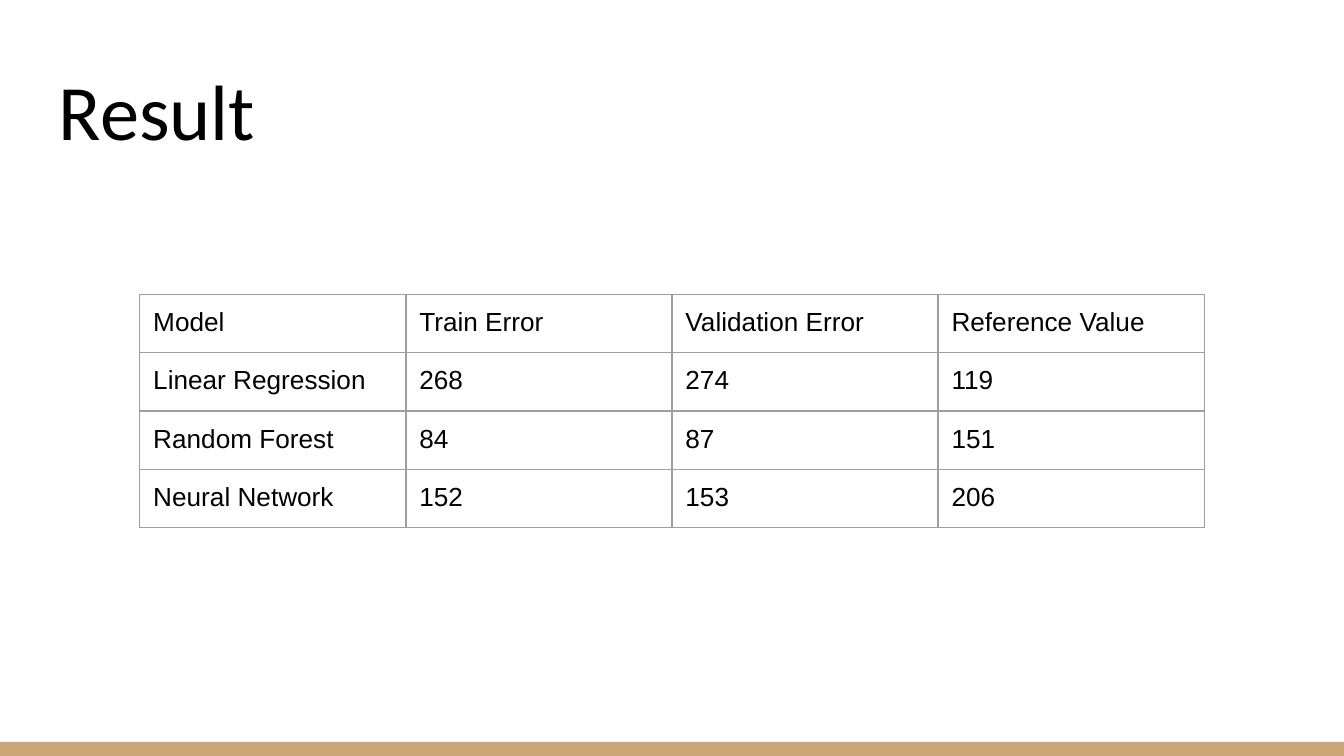
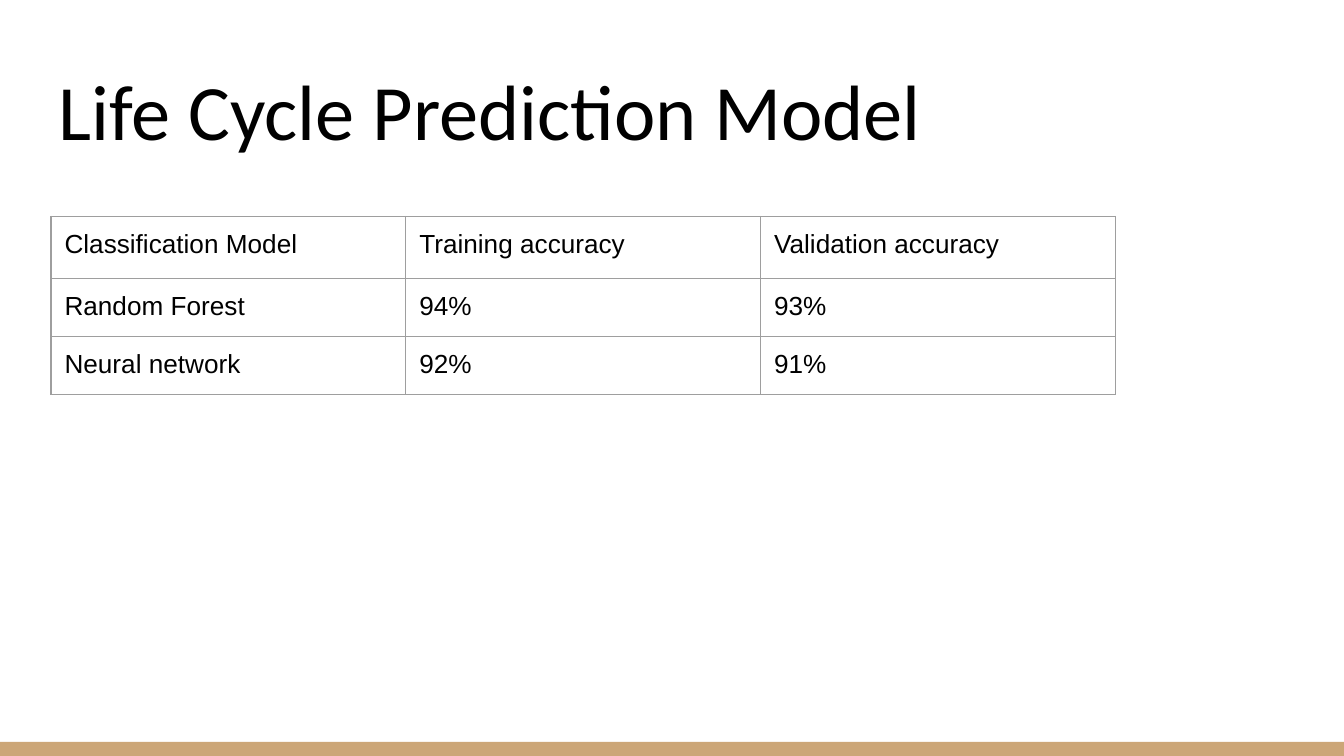
from dataclasses import dataclass

import lxml.etree
import pptx
import pptx.dml.color
import pptx.enum.shapes
import pptx.enum.text
import pptx.oxml.ns
import pptx.presentation
import pptx.slide
import pptx.table
import pptx.text.text
import pptx.util

Inches = pptx.util.Inches
Pt = pptx.util.Pt
qn = pptx.oxml.ns.qn

# Shared look
COLORS = {"background": "FFFFFF", "band": "CCA677", "text": "000000", "grid": "9E9E9E"}
SLIDE_WIDTH = Inches(10)
SLIDE_HEIGHT = SLIDE_WIDTH * 9 // 16
TITLE_FONT = {"name": "Calibri", "size": Pt(42), "bold": False}
CELL_FONT = {"name": "Arial", "size": Pt(14), "bold": False}
MARGINS = {f"margin_{side}": Inches(0.1) for side in ("left", "top", "right", "bottom")}
TITLE_FRAME = {
    "word_wrap": True,
    "vertical_anchor": pptx.enum.text.MSO_ANCHOR.BOTTOM,
    **MARGINS,
}
CELL_FORMAT = {"vertical_anchor": pptx.enum.text.MSO_ANCHOR.TOP, **MARGINS}
PLAIN_TABLE = {"first_row": False, "horz_banding": False}
GRID_WIDTH = Pt(0.75)
ROW_HEIGHT = 0.42


@dataclass(frozen=True)
class ResultsTable:
    left: float
    top: float
    column_width: float
    rows: list[list[str]]
    header_height: float = ROW_HEIGHT


@dataclass(frozen=True)
class ResultsSlide:
    title: str
    results: ResultsTable


# Content
SLIDES = [
    ResultsSlide(
        "Result",
        ResultsTable(1.04, 2.19, 1.98, [
            ["Model", "Train Error", "Validation Error", "Reference Value"],
            ["Linear Regression", "268", "274", "119"],
            ["Random Forest", "84", "87", "151"],
            ["Neural Network", "152", "153", "206"],
        ]),
    ),
    ResultsSlide(
        "Life Cycle Prediction Model",
        ResultsTable(0.38, 1.61, 2.64, [
            ["Classification Model", "Training accuracy", "Validation accuracy"],
            ["Random Forest", "94%", "93%"],
            ["Neural network", "92%", "91%"],
        ], header_height=0.46),
    ),
]


def rgb(color: str) -> pptx.dml.color.RGBColor:
    return pptx.dml.color.RGBColor.from_string(COLORS[color])


def apply_format(target: object, values: dict[str, object]) -> None:
    for attribute, value in values.items():
        setattr(target, attribute, value)


def write_text(frame: pptx.text.text.TextFrame, text: str, font: dict[str, object]) -> None:
    paragraph = frame.paragraphs[0]
    paragraph.line_spacing = 1.0
    run = paragraph.add_run()
    run.text = text
    apply_format(run.font, font)
    run.font.color.rgb = rgb("text")
    # One typeface for every script keeps the line height even
    properties = run._r.get_or_add_rPr()
    for script in ("a:ea", "a:cs"):
        lxml.etree.SubElement(properties, qn(script), typeface=font["name"])
    ending = lxml.etree.SubElement(paragraph._p, qn("a:endParaRPr"), sz=properties.get("sz"))
    for script in ("a:latin", "a:ea", "a:cs"):
        lxml.etree.SubElement(ending, qn(script), typeface=font["name"])


def add_base(slide: pptx.slide.Slide) -> None:
    """Paint the background and the band along the bottom edge."""
    slide.background.fill.solid()
    slide.background.fill.fore_color.rgb = rgb("background")
    band_top = Inches(5.52)
    band = slide.shapes.add_shape(
        pptx.enum.shapes.MSO_SHAPE.RECTANGLE,
        0, band_top, SLIDE_WIDTH, SLIDE_HEIGHT - band_top,
    )
    band.shadow.inherit = False
    band.fill.solid()
    band.fill.fore_color.rgb = rgb("band")
    band.line.fill.background()


def add_title(slide: pptx.slide.Slide, text: str) -> None:
    title = slide.shapes.add_textbox(Inches(0.34), Inches(0.35), Inches(9.32), Inches(0.91))
    apply_format(title.text_frame, TITLE_FRAME)
    write_text(title.text_frame, text, TITLE_FONT)


def add_borders(cell: pptx.table._Cell) -> None:
    """Outline a cell; the lines must come before its fill in the XML."""
    properties = cell._tc.get_or_add_tcPr()
    for position, edge in enumerate(("a:lnL", "a:lnR", "a:lnT", "a:lnB")):
        line = lxml.etree.Element(qn(edge), w=str(GRID_WIDTH))
        fill = lxml.etree.SubElement(line, qn("a:solidFill"))
        lxml.etree.SubElement(fill, qn("a:srgbClr"), val=COLORS["grid"])
        properties.insert(position, line)


def add_results(slide: pptx.slide.Slide, results: ResultsTable) -> None:
    row_count, column_count = len(results.rows), len(results.rows[0])
    heights = [results.header_height] + [ROW_HEIGHT] * (row_count - 1)
    table = slide.shapes.add_table(
        row_count, column_count, Inches(results.left), Inches(results.top),
        Inches(results.column_width * column_count), Inches(sum(heights)),
    ).table
    apply_format(table, PLAIN_TABLE)
    for column in table.columns:
        column.width = Inches(results.column_width)
    for row, height, texts in zip(table.rows, heights, results.rows):
        row.height = Inches(height)
        for cell, text in zip(row.cells, texts):
            apply_format(cell, CELL_FORMAT)
            cell.fill.background()
            add_borders(cell)
            write_text(cell.text_frame, text, CELL_FONT)


def build_slide(deck: pptx.presentation.Presentation, content: ResultsSlide) -> None:
    slide = deck.slides.add_slide(deck.slide_layouts[6])
    add_base(slide)
    add_title(slide, content.title)
    add_results(slide, content.results)


def main() -> None:
    deck = pptx.Presentation()
    deck.slide_width, deck.slide_height = SLIDE_WIDTH, SLIDE_HEIGHT
    for content in SLIDES:
        build_slide(deck, content)
    deck.save("out.pptx")


if __name__ == "__main__":
    main()
